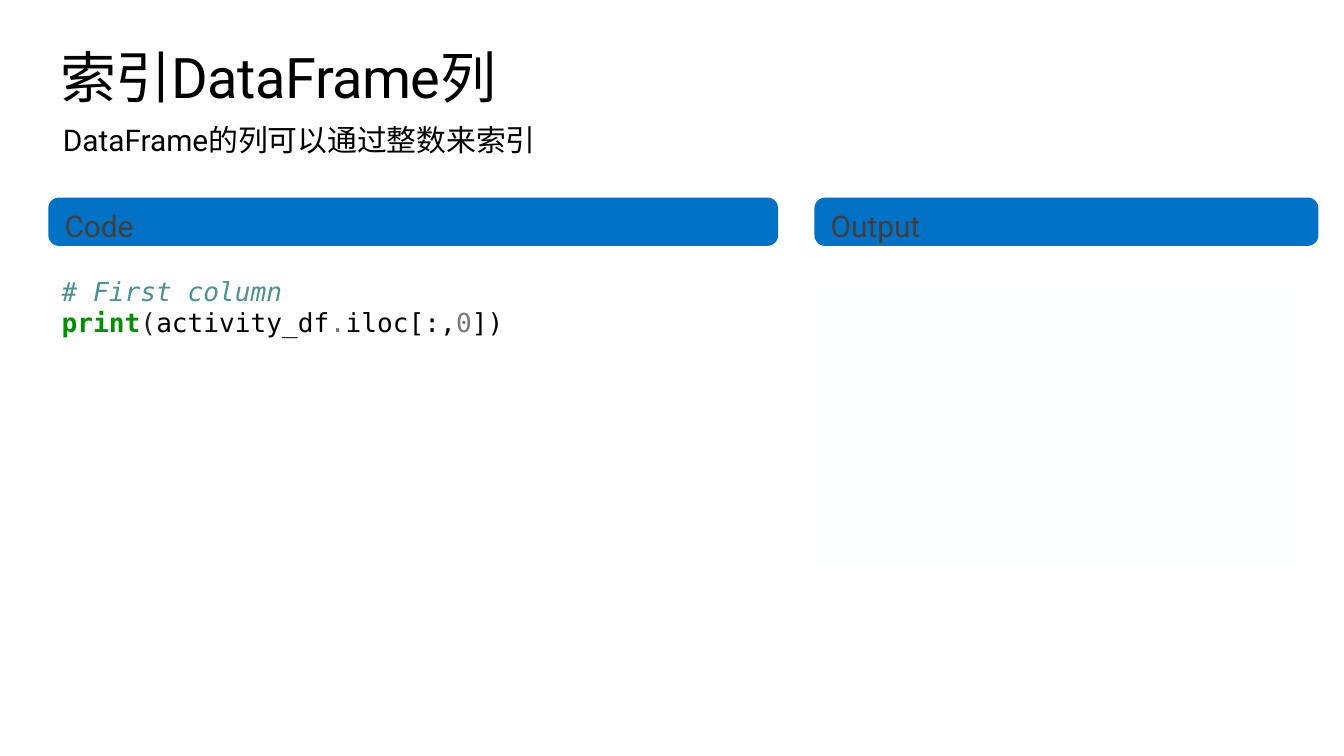
from dataclasses import dataclass

from pptx import Presentation
from pptx.dml.color import RGBColor
from pptx.enum.shapes import MSO_SHAPE
from pptx.enum.text import MSO_ANCHOR, PP_ALIGN
from pptx.util import Inches, Pt

ROUNDED = MSO_SHAPE.ROUNDED_RECTANGLE
RECTANGLE = MSO_SHAPE.RECTANGLE
TOP = MSO_ANCHOR.TOP
LEFT = PP_ALIGN.LEFT

BLACK = RGBColor(0x00, 0x00, 0x00)
BLUE = RGBColor(0x00, 0x71, 0xC5)
DARK_GRAY = RGBColor(0x40, 0x40, 0x40)
PANEL_WHITE = RGBColor(0xFE, 0xFF, 0xFF)
COMMENT_TEAL = RGBColor(0x4F, 0x91, 0x92)
KEYWORD_GREEN = RGBColor(0x00, 0x8F, 0x00)
BRACKET_GRAY = RGBColor(0x21, 0x21, 0x21)
LITERAL_GRAY = RGBColor(0x79, 0x79, 0x79)

SANS = "Roboto"
MONO = "DejaVu Sans Mono"
SLIDE_WIDTH = 10
SLIDE_HEIGHT = SLIDE_WIDTH * 9 / 16


@dataclass
class Box:
    left: float
    top: float
    width: float
    height: float

    def lengths(self) -> list:
        return [Inches(v) for v in (self.left, self.top, self.width, self.height)]


@dataclass
class Run:
    text: str
    color: RGBColor
    bold: bool = False
    italic: bool = False


TITLE = Box(0.44, 0.32, 9.23, 0.5)
SUBTITLE = Box(0.37, 0.86, 7.48, 0.37)
CODE = Box(0.36, 2, 5.51, 0.57)
OUTPUT_PANEL = Box(6.06, 2.12, 3.6, 2.13)
CODE_HEADER = Box(0.36, 1.47, 5.43, 0.36)
OUTPUT_HEADER = Box(6.06, 1.47, 3.75, 0.36)
CODE_LINES = [
    [Run("# First column", COMMENT_TEAL, italic=True)],
    [
        Run("print", KEYWORD_GREEN, bold=True),
        Run("(", BRACKET_GRAY),
        Run("activity_df", BLACK),
        Run(".", LITERAL_GRAY),
        Run("iloc[:,", BLACK),
        Run("0", LITERAL_GRAY),
        Run("])", BLACK),
    ],
]


def write_lines(shape, lines: list[list[Run]], font: str, size: float) -> None:
    frame = shape.text_frame
    frame.word_wrap = True
    frame.vertical_anchor = TOP
    for index, line in enumerate(lines):
        paragraph = frame.add_paragraph() if index else frame.paragraphs[0]
        paragraph.alignment = LEFT
        for item in line:
            run = paragraph.add_run()
            run.text = item.text
            formats = {"name": font, "size": Pt(size),
                       "bold": item.bold, "italic": item.italic}
            for name, value in formats.items():
                setattr(run.font, name, value)
            run.font.color.rgb = item.color


def add_text(slide, box: Box, lines: list[list[Run]], font: str, size: float):
    shape = slide.shapes.add_textbox(*box.lengths())
    write_lines(shape, lines, font, size)
    return shape


def add_panel(slide, kind, box: Box, color: RGBColor):
    shape = slide.shapes.add_shape(kind, *box.lengths())
    shape.shadow.inherit = False
    shape.fill.solid()
    shape.fill.fore_color.rgb = color
    shape.line.fill.background()
    return shape


def add_header(slide, box: Box, label: str) -> None:
    header = add_panel(slide, ROUNDED, box, BLUE)
    header.adjustments[0] = 0.22
    write_lines(header, [[Run(label, DARK_GRAY)]], SANS, 16)


def add_title(slide) -> None:
    """Add the title without insets and with slightly tightened letters."""
    title = add_text(slide, TITLE, [[Run("索引DataFrame列", BLACK)]], SANS, 30)
    for side in ("left", "top", "right", "bottom"):
        setattr(title.text_frame, f"margin_{side}", 0)
    paragraph = title.text_frame.paragraphs[0]
    paragraph.runs[0].font._element.set("spc", "-30")
    paragraph._p.get_or_add_pPr().set("marL", str(Inches(0.01)))


def main() -> None:
    presentation = Presentation()
    presentation.slide_width = Inches(SLIDE_WIDTH)
    presentation.slide_height = Inches(SLIDE_HEIGHT)
    slide = presentation.slides.add_slide(presentation.slide_layouts[6])

    add_title(slide)
    add_header(slide, CODE_HEADER, "Code")
    add_text(slide, CODE, CODE_LINES, MONO, 14)
    add_header(slide, OUTPUT_HEADER, "Output")
    subtitle = add_text(
        slide, SUBTITLE, [[Run("DataFrame的列可以通过整数来索引", BLACK)]], SANS, 16)
    subtitle.text_frame.paragraphs[0].space_after = Pt(6)
    add_panel(slide, RECTANGLE, OUTPUT_PANEL, PANEL_WHITE)

    presentation.save("out.pptx")


if __name__ == "__main__":
    main()
